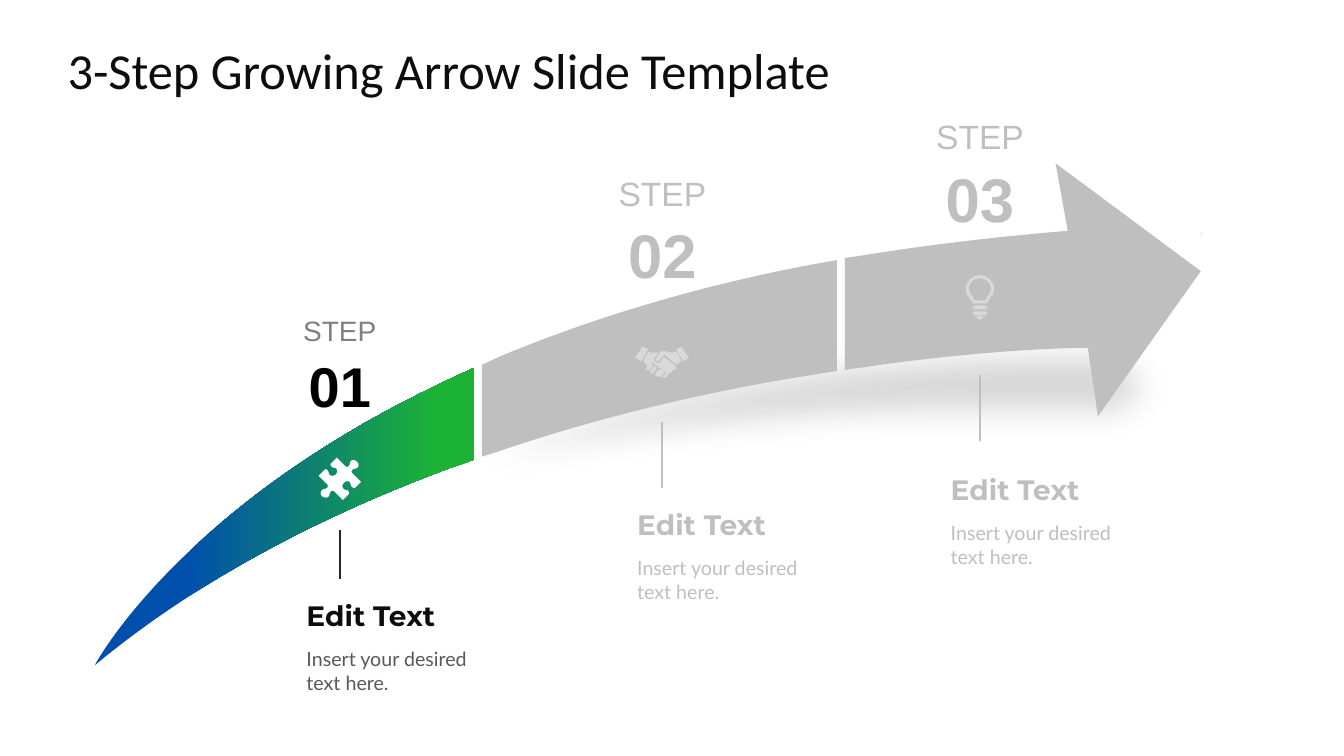
"""Build the three-step growing arrow slide."""
from lxml import etree
from pptx import Presentation, util as u
from pptx.dml.color import RGBColor
from pptx.enum import shapes, text
from pptx.oxml import ns

PX = 9144
BLACK = RGBColor(0, 0, 0)
INK = RGBColor(0x0D, 0x0D, 0x0D)
DARK = RGBColor(0x26, 0x26, 0x26)
BODY = RGBColor(0x59, 0x59, 0x59)
MID = RGBColor(0x80, 0x80, 0x80)
GRAY = RGBColor(0xBF, 0xBF, 0xBF)
PALE = RGBColor(0xD9, 0xD9, 0xD9)
CREAM = RGBColor(0xEE, 0xEC, 0xE1)
WHITE = RGBColor(0xFF, 0xFF, 0xFF)
BLUE = RGBColor(0x00, 0x4F, 0xAC)
GREEN = RGBColor(0x1B, 0xB2, 0x36)

prs = Presentation()
prs.slide_width, prs.slide_height = 1333 * PX, 750 * PX
s = prs.slides.add_slide(prs.slide_layouts[6])


def outline(color, *contours):
    """Draw contours whose pairs are corners and whose sextuples are cubic curves."""
    fb = None
    for start, *steps in contours:
        points, last = [], start
        for step in steps:
            if len(step) == 6:
                nodes = (last, step[:2], step[2:4], step[4:])
                n = max(4, min(40, abs(step[4] - last[0]) // 4))
                for i in range(1, n + 1):
                    t = i / n
                    weights = ((1 - t) ** 3, 3 * t * (1 - t) ** 2, 3 * t * t * (1 - t), t ** 3)
                    points.append([sum(w * p[axis] for w, p in zip(weights, nodes)) * PX
                                   for axis in (0, 1)])
            else:
                points.append([step[0] * PX, step[1] * PX])
            last = step[-2:]
        if fb is None:
            fb = s.shapes.build_freeform(start[0] * PX, start[1] * PX, 1.0)
        else:
            fb.move_to(start[0] * PX, start[1] * PX)
        fb.add_line_segments(points, close=True)
    sp = fb.convert_to_shape()
    sp.shadow.inherit = False
    sp.fill.solid()
    sp.fill.fore_color.rgb = color
    sp.line.fill.background()
    return sp


def label(x, y, w, h, lines, anchor, align=text.PP_ALIGN.LEFT, pad=0, wrap=True, before=0):
    """Add a text box of (wording, size, font, colour, bold) lines."""
    tf = s.shapes.add_textbox(x * PX, y * PX, w * PX, h * PX).text_frame
    tf.word_wrap = wrap
    tf.vertical_anchor = anchor
    tf.margin_left = tf.margin_right = 0
    tf.margin_top = tf.margin_bottom = pad * PX
    tf.text = "\n".join(line[0] for line in lines)
    for p, (_, size, font, color, bold) in zip(tf.paragraphs, lines):
        p.alignment = align
        p.space_before = u.Pt(before)
        r = p.runs[0]
        r.font.size, r.font.name, r.font.bold = u.Pt(size), font, bold
        r.font.color.rgb = color


shade = outline(BLACK, [(75, 674), (75, 674, 330, 309, 1072, 322),
                        (1072, 302, 1066, 283, 1067, 263), (1202, 377), (1087, 510),
                        (1083, 441), (1083, 441, 415, 403, 75, 674)])
rgb = shade._element.spPr.find(".//" + ns.qn("a:srgbClr"))
etree.SubElement(rgb, ns.qn("a:alpha"), val="17000")
effects = shade._element.spPr.find(ns.qn("a:effectLst"))
etree.SubElement(effects, ns.qn("a:softEdge"), rad=str(35 * PX))

outline(GRAY, [(1047, 162), (1191, 269), (1089, 413), (1079, 345),
               (1079, 345, 993, 345, 866, 363), (838, 367), (838, 256), (858, 253),
               (920, 243, 987, 235, 1059, 229)])
outline(GRAY, [(830, 258), (830, 368), (799, 373), (706, 388, 598, 412, 488, 450),
               (478, 453), (478, 362), (495, 354), (579, 319, 679, 287, 797, 264)])
tail = outline(BLUE, [(470, 365), (470, 456), (447, 464), (323, 510, 199, 573, 94, 660),
                      (94, 660, 179, 498, 455, 372)])
tail.fill.gradient()
tail.fill.gradient_angle = 0
for stop, color, position in zip(tail.fill.gradient_stops, (BLUE, GREEN), (0.24, 0.9)):
    stop.color.rgb = color
    stop.position = position

label(67, 30, 1200, 78, [("3-Step Growing Arrow Slide Template", 36, "Calibri", INK, False)],
      text.MSO_ANCHOR.MIDDLE, wrap=False)
outline(CREAM, [(1191, 230), (1193, 232), (1191, 236)])

outline(WHITE, [(343, 486), (340, 486, 338, 482, 341, 479), (344, 476, 348, 477, 348, 481),
                (348, 483, 351, 485, 352, 484), (358, 478), (349, 469),
                (348, 467, 350, 465, 352, 465), (356, 465, 357, 460, 354, 458),
                (351, 455, 347, 456, 347, 460), (347, 462, 345, 464, 343, 463),
                (334, 454), (328, 460), (327, 461, 329, 464, 331, 464),
                (334, 463, 336, 468, 333, 471), (330, 473, 326, 472, 326, 469),
                (326, 467, 323, 464, 322, 466), (316, 472), (325, 481),
                (326, 483, 324, 485, 322, 485), (318, 485, 317, 490, 319, 492),
                (322, 495, 327, 494, 327, 490), (327, 488, 329, 486, 331, 487),
                (340, 496), (346, 490), (347, 488, 345, 486, 343, 486)])

rounded = [(652, 369, 7, 4, -55), (649, 368, 8, 4, -50), (644, 365, 8, 4, -50),
           (640, 362, 8, 4, -50), (965, 303, 14, 4, 0), (965, 309, 14, 4, 0)]
for x, y, w, h, turn in rounded:
    sp = s.shapes.add_shape(shapes.MSO_SHAPE.ROUNDED_RECTANGLE, x * PX, y * PX, w * PX, h * PX)
    sp.adjustments[0] = 0.5
    sp.rotation = turn
    sp.shadow.inherit = False
    sp.fill.solid()
    sp.fill.fore_color.rgb = PALE
    sp.line.fill.background()

outline(PALE, [(630, 355), (635, 358), (636, 358, 637, 358, 637, 357), (642, 348),
               (643, 347, 643, 347, 642, 346), (637, 344)])
outline(PALE, [(683, 355), (679, 358), (678, 358, 677, 358, 677, 357), (671, 348),
               (671, 347, 671, 347, 672, 346), (676, 344)])
outline(PALE, [(670, 363), (660, 355), (659, 354), (655, 359), (655, 359, 654, 360, 652, 360),
               (652, 360, 651, 360, 650, 359), (649, 358, 648, 355, 650, 354), (653, 350),
               (651, 349, 647, 351, 643, 349), (638, 358), (642, 363), (644, 361),
               (645, 360, 647, 360, 648, 360), (649, 361, 649, 362, 649, 363),
               (650, 362, 651, 362, 652, 363), (653, 364, 653, 365, 653, 365),
               (655, 365, 657, 366, 657, 368), (659, 368, 660, 369, 660, 370),
               (660, 371, 660, 371, 659, 372), (657, 374), (658, 375),
               (661, 375, 662, 374, 662, 372), (663, 372, 664, 371, 664, 370),
               (666, 370, 667, 369, 667, 367), (670, 367, 671, 366, 671, 365)])
outline(PALE, [(671, 349), (666, 351, 662, 349, 658, 348), (657, 348, 656, 349, 655, 349),
               (651, 355), (650, 356, 650, 357, 651, 358), (651, 359, 653, 359, 654, 358),
               (659, 352), (671, 362), (676, 358)])

outline(PALE, [(968, 314), (969, 316, 970, 317, 972, 317), (974, 317, 975, 316, 975, 314)])
outline(PALE, [(972, 273), (964, 273, 958, 279, 958, 286), (958, 288, 958, 290, 959, 292),
               (960, 293, 960, 294, 961, 295), (963, 297, 964, 300, 965, 301), (979, 301),
               (980, 300, 981, 297, 982, 295), (983, 294, 984, 293, 985, 292),
               (985, 290, 986, 288, 986, 286), (986, 279, 979, 273, 972, 273)],
        [(983, 286), (983, 288, 982, 289, 982, 290), (981, 291, 981, 292, 980, 293),
         (979, 295, 978, 296, 977, 298), (967, 298), (966, 296, 965, 295, 964, 293),
         (963, 292, 962, 291, 962, 290), (962, 289, 961, 288, 961, 286),
         (961, 280, 966, 276, 972, 276), (978, 276, 982, 280, 983, 286)])

steps = [("01", 268, 313, 20, 40, MID, BLACK, 337, 526, 574, DARK, 304, 588, INK, BODY),
         ("02", 588, 180, 24, 44, GRAY, GRAY, 657, 419, 484, GRAY, 632, 498, GRAY, GRAY),
         ("03", 903, 124, 24, 44, GRAY, GRAY, 972, 372, 438, GRAY, 943, 463, GRAY, GRAY)]
for (number, x, y, small, big, word_color, number_color, line_x, top, bottom, line_color,
     text_x, text_y, head_color, body_color) in steps:
    label(x, y, 138, 100, [("STEP", small, "Arial", word_color, False),
                           (number, big, "Arial", number_color, True)],
          text.MSO_ANCHOR.MIDDLE, text.PP_ALIGN.CENTER, before=3)
    line = s.shapes.add_connector(shapes.MSO_CONNECTOR.STRAIGHT, line_x * PX, top * PX,
                                  line_x * PX, bottom * PX)
    line.line.width = u.Pt(1.5)
    line.line.color.rgb = line_color
    etree.SubElement(line._element.spPr, ns.qn("a:effectLst"))
    label(text_x, text_y, 184, 44, [("Edit Text", 20, "Montserrat", head_color, True)],
          text.MSO_ANCHOR.BOTTOM, pad=5)
    label(text_x, text_y + 49, 184, 57,
          [("Insert your desired text here.", 14, "Lato", body_color, False)],
          text.MSO_ANCHOR.TOP, pad=5)

prs.save("out.pptx")
